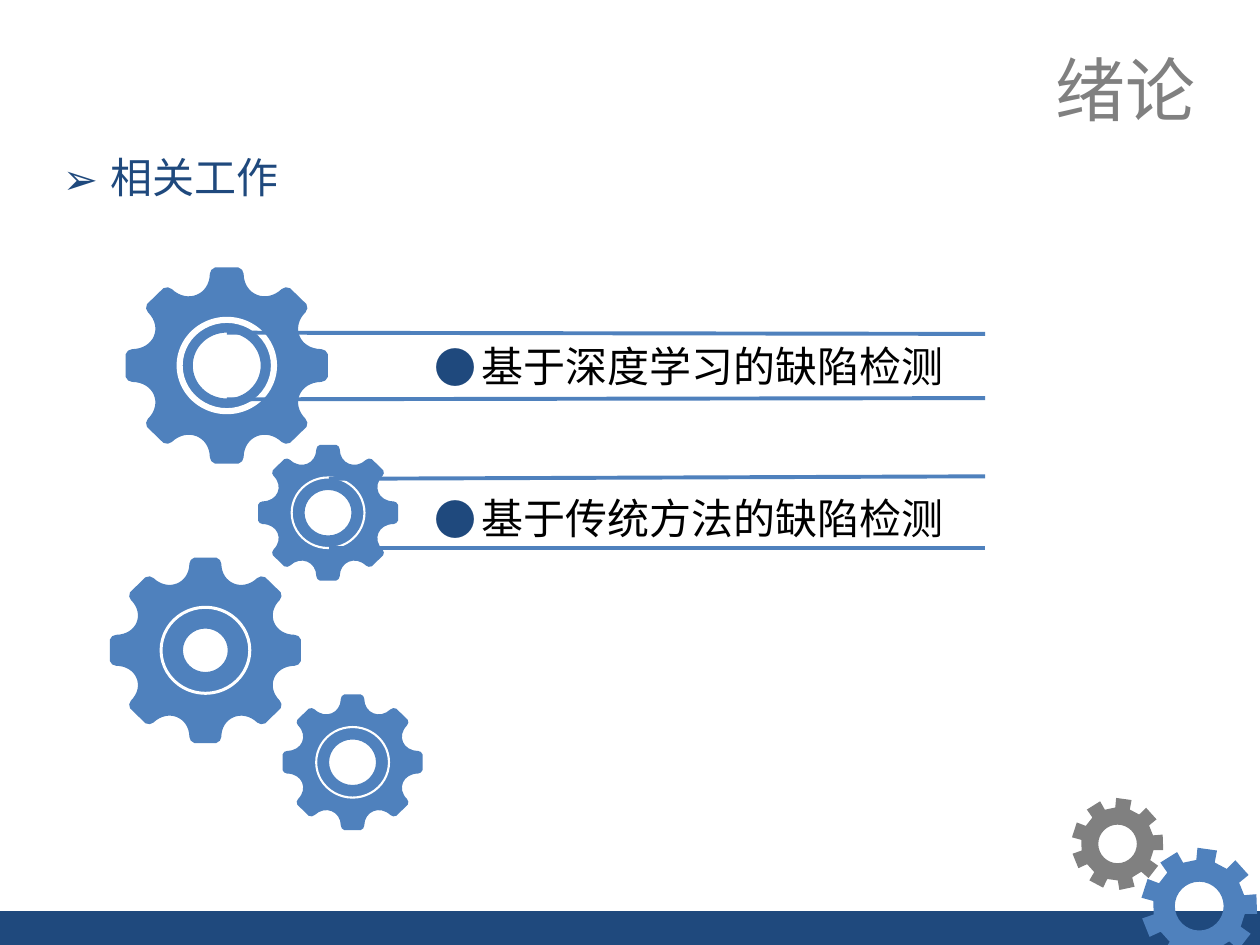
"""Build the related-work slide with meshing gears and ruled topics."""
import math
from dataclasses import dataclass

from lxml import etree
from pptx import Presentation
from pptx import util as u
from pptx.dml import color, fill
from pptx.enum import shapes, text
from pptx.oxml import ns

FONT = "Noto Sans CJK SC"
BLUE, NAVY, GRAY, WHITE, BLACK = "4F81BD", "1F497D", "808080", "FFFFFF", "000000"
SQUASH = 0.97
ROUND_TOOTH = (
    (0.935, -0.167), (0.965, -0.167), (0.99, -0.145), (1, -0.115),
    (1, -0.04), (1, 0.04), (1, 0.115), (0.99, 0.145), (0.965, 0.167),
    (0.935, 0.167), (0.72, 0.17), (0.63, 0.39),
)
SQUARE_TOOTH = ((0.78, -0.16), (0.99, -0.17), (0.99, 0.17), (0.78, 0.16))
QUARTER_CIRCLE = ((1, 0), (1, 0.55), (0.55, 1))


@dataclass(frozen=True)
class RingGear:
    x: float
    y: float
    radius: float
    hole: float
    ring: float
    thickness: float


@dataclass(frozen=True)
class CornerGear:
    x: float
    y: float
    radius: float
    hex_color: str


@dataclass(frozen=True)
class Contour:
    points: list[tuple[float, float]]
    curved: bool = True


@dataclass(frozen=True)
class Label:
    words: str
    x: float
    y: float
    width: float
    height: float
    size: float
    hex_color: str
    bullet: str = ""


@dataclass(frozen=True)
class Rule:
    start_x: float
    start_y: float
    end_y: float


RING_GEARS = (
    RingGear(187.5, 293, 40, 13.4, 21.4, 1.2),
    RingGear(201.5, 435.6, 40, 13.4, 21.4, 1.2),
    RingGear(117.4, 371.6, 54.6, 12.8, 26.2, 1.7),
    RingGear(129.6, 208.9, 57.8, 19.4, 28.7, 3.5),
)
CORNER_GEARS = (
    CornerGear(685.3, 517.8, 33.2, BLUE),
    CornerGear(638.6, 482.3, 26.2, GRAY),
)
LABELS = (
    Label("绪论", 595.4, 23, 95, 55.4, 40, GRAY),
    Label("相关工作", 28.8, 82.8, 284.4, 36, 24, NAVY, "➢"),
    Label("基于传统方法的缺陷检测", 241.2, 277.9, 311, 36, 24, BLACK, "●"),
    Label("基于深度学习的缺陷检测", 241.2, 190.8, 311, 36, 24, BLACK, "●"),
)
RULES = (
    Rule(129.6, 190.1, 190.8),
    Rule(129.6, 228.2, 227.5),
    Rule(187.9, 273.6, 272.2),
    Rule(187.9, 313.2, 313.2),
)
RULE_END_X = 563


def paint(target: fill.FillFormat, hex_color: str) -> None:
    """Give a fill one solid colour."""
    target.solid()
    target.fore_color.rgb = color.RGBColor.from_string(hex_color)


def finish(shape, hex_color: str) -> None:
    """Fill a shape flatly, with neither outline nor shadow."""
    shape.shadow.inherit = False
    shape.line.fill.background()
    paint(shape.fill, hex_color)


def spin(motif: tuple, count: int, radius: float, start: float = 0) -> list[tuple[float, float]]:
    """Repeat a motif round a centre and return to its first point."""
    points = []
    for turn in range(count):
        angle = math.radians(start + 360 * turn / count)
        cos, sin = radius * math.cos(angle), radius * math.sin(angle)
        points += [(x * cos - y * sin, x * sin + y * cos) for x, y in motif]
    return points + points[:1]


def add_outline(page, x: float, y: float, contours: list[Contour],
                squash: float, hex_color: str) -> None:
    """Draw contours around a centre, turning curved ones into cubic segments."""
    builder = None
    for contour in contours:
        first, *others = [(u.Pt(x + dx), u.Pt(y + squash * dy)) for dx, dy in contour.points]
        if builder is None:
            builder = page.shapes.build_freeform(*first)
        else:
            builder.move_to(*first)
        builder.add_line_segments(others, close=True)
    shape = builder.convert_to_shape()
    segments = list(shape._element.iter(ns.qn("a:lnTo")))
    for contour in contours:
        count = len(contour.points) - 1
        own, segments = segments[:count], segments[count:]
        for index in range(0, count if contour.curved else 0, 3):
            curve = etree.Element(ns.qn("a:cubicBezTo"))
            own[index].addprevious(curve)
            for segment in own[index:index + 3]:
                curve.append(segment[0])
                segment.getparent().remove(segment)
    finish(shape, hex_color)


def add_ring_gear(page, gear: RingGear) -> None:
    """Draw a rounded gear with a white ring on it."""
    contours = [Contour(spin(ROUND_TOOTH, 8, gear.radius)),
                Contour(spin(QUARTER_CIRCLE, 4, gear.hole))]
    add_outline(page, gear.x, gear.y, contours, SQUASH, BLUE)
    height = gear.ring * SQUASH
    ring = page.shapes.add_shape(
        shapes.MSO_SHAPE.DONUT, u.Pt(gear.x - gear.ring), u.Pt(gear.y - height),
        u.Pt(2 * gear.ring), u.Pt(2 * height))
    ring.adjustments[0] = gear.thickness / (2 * height)
    finish(ring, WHITE)


def add_corner_gear(page, gear: CornerGear) -> None:
    """Draw a square-toothed gear."""
    contours = [Contour(spin(SQUARE_TOOTH, 9, gear.radius, -82), curved=False),
                Contour(spin(QUARTER_CIRCLE, 4, 0.42 * gear.radius))]
    add_outline(page, gear.x, gear.y, contours, 1, gear.hex_color)


def add_label(page, label: Label) -> None:
    """Write a bulleted line, or a right-aligned title without a bullet."""
    box = page.shapes.add_textbox(
        u.Pt(label.x), u.Pt(label.y), u.Pt(label.width), u.Pt(label.height))
    frame = box.text_frame
    frame.text = label.words
    frame.word_wrap = bool(label.bullet)
    frame.auto_size = text.MSO_AUTO_SIZE.SHAPE_TO_FIT_TEXT
    para = frame.paragraphs[0]
    if label.bullet:
        props = para._p.get_or_add_pPr()
        props.set("marL", str(u.Pt(27)))
        props.set("indent", str(-u.Pt(27)))
        bullet_color = etree.SubElement(props, ns.qn("a:buClr"))
        etree.SubElement(bullet_color, ns.qn("a:srgbClr"), val=NAVY)
        etree.SubElement(props, ns.qn("a:buFont"), typeface=FONT)
        etree.SubElement(props, ns.qn("a:buChar"), char=label.bullet)
    else:
        para.alignment = text.PP_ALIGN.RIGHT
    span = para.runs[0]
    span.font.size = u.Pt(label.size)
    span.font.name = FONT
    paint(span.font.fill, label.hex_color)
    etree.SubElement(span._r.get_or_add_rPr(), ns.qn("a:ea"), typeface=FONT)


def add_rule(page, rule: Rule) -> None:
    """Draw a line beside a topic."""
    line = page.shapes.add_connector(
        shapes.MSO_CONNECTOR.STRAIGHT, u.Pt(rule.start_x), u.Pt(rule.start_y),
        u.Pt(RULE_END_X), u.Pt(rule.end_y))
    line.line.width = u.Pt(2.25)
    paint(line.line.fill, BLUE)
    etree.SubElement(line._element.spPr, ns.qn("a:effectLst"))


def main() -> None:
    """Build and save the deck."""
    deck = Presentation()
    deck.slide_width, deck.slide_height = u.Pt(720), u.Pt(540)
    page = deck.slides.add_slide(deck.slide_layouts[6])
    band = page.shapes.add_shape(
        shapes.MSO_SHAPE.RECTANGLE, u.Pt(0), u.Pt(520.6), u.Pt(720), u.Pt(31))
    finish(band, NAVY)
    for draw, items in ((add_corner_gear, CORNER_GEARS), (add_ring_gear, RING_GEARS),
                        (add_label, LABELS), (add_rule, RULES)):
        for item in items:
            draw(page, item)
    deck.save("out.pptx")


if __name__ == "__main__":
    main()
